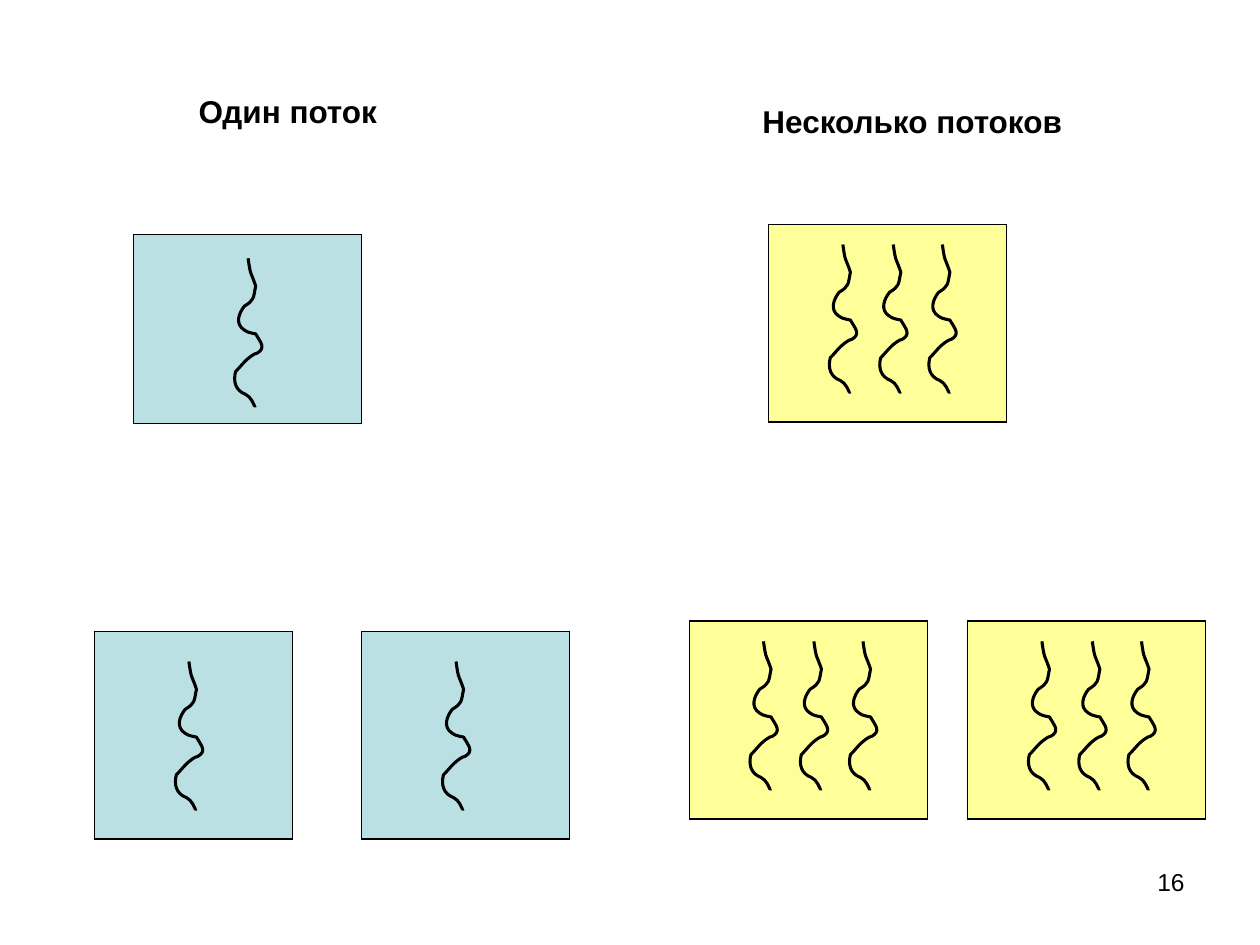
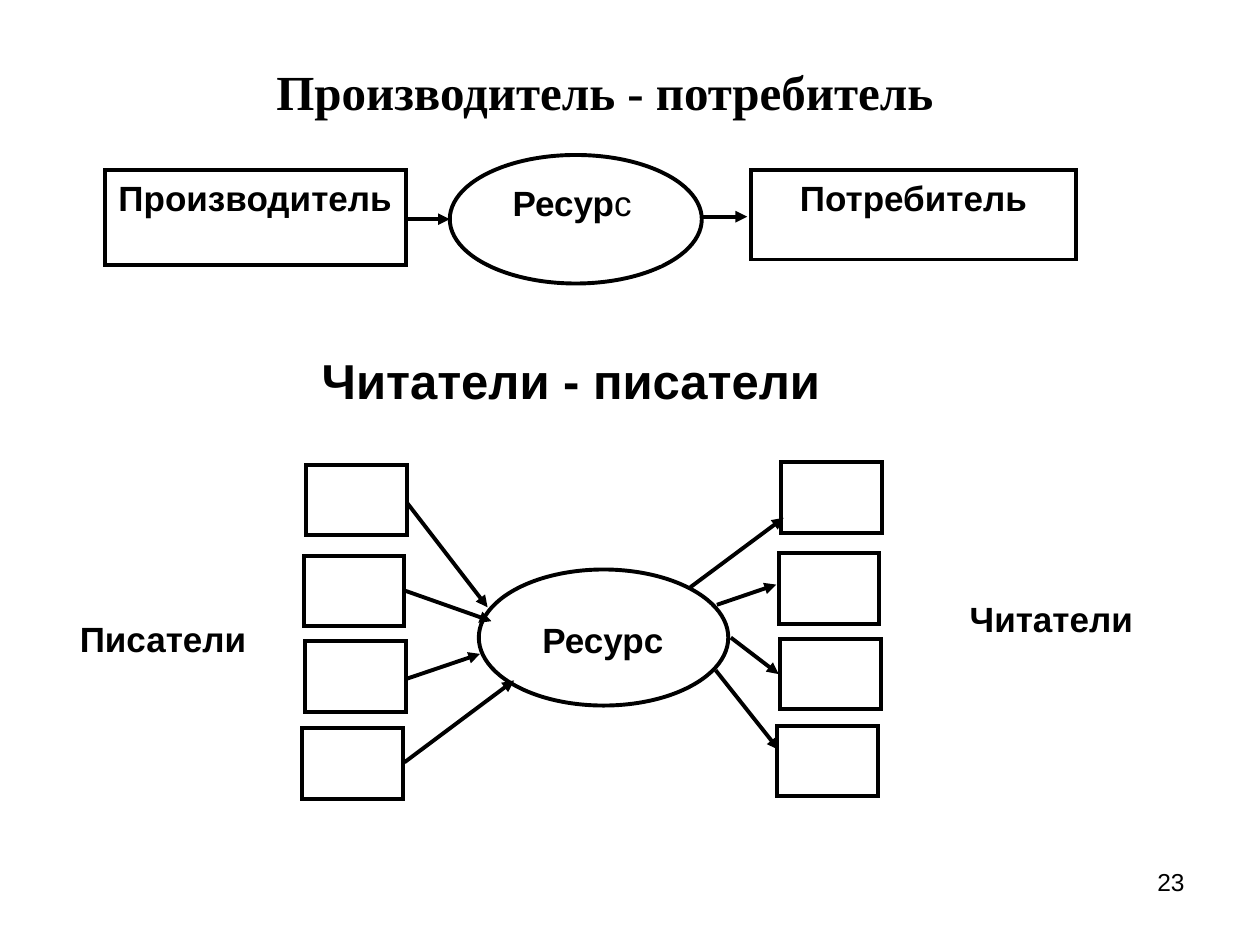
from dataclasses import dataclass

from lxml.etree import SubElement
from pptx import Presentation
from pptx.dml.color import RGBColor
from pptx.enum.shapes import MSO_CONNECTOR as Connector, MSO_SHAPE as Preset
from pptx.enum.text import MSO_ANCHOR as Anchor, PP_ALIGN as Align
from pptx.oxml.ns import qn
from pptx.util import Emu, Pt

PX = 9144
INSET_X, INSET_Y = 10, 5
BLACK, WHITE, BLUE, YELLOW = "000000", "FFFFFF", "BBE0E3", "FFFF99"
THIN, WAVY, THICK = 0.75, 1.75, 2.25

WAVE_SIZE = (26, 118)
WAVE_START = (12, 0)
WAVE_CURVES = (
    ((14, 15), (14, 10), (18, 22)),
    ((16, 32), (17, 33), (9, 38)),
    ((5, 43), (1, 52), (9, 57)),
    ((11, 59), (18, 60), (18, 60)),
    ((20, 64), (26, 70), (21, 74)),
    ((20, 76), (18, 75), (17, 76)),
    ((10, 80), (7, 85), (2, 90)),
    ((0, 98), (2, 105), (10, 108)),
    ((12, 109), (14, 111), (15, 113)),
    ((16, 114), (16, 116), (17, 117)),
    ((17, 118), (18, 117), (18, 117)),
)


@dataclass(frozen=True)
class Span:
    text: str
    size: int = 20
    bold: bool = True
    font: str = "Arial"


@dataclass(frozen=True)
class Box:
    left: int
    top: int
    width: int
    height: int
    spans: tuple[Span, ...] = ()
    fill: str | None = WHITE
    line: float = 0
    preset: Preset = Preset.RECTANGLE
    align: Align = Align.CENTER


@dataclass(frozen=True)
class Arrow:
    x1: int
    y1: int
    x2: int
    y2: int


@dataclass(frozen=True)
class Process:
    box: Box
    thread_lefts: tuple[int, ...]
    thread_top: int


def px(length: int) -> Emu:
    return Emu(length * PX)


def color(code: str) -> RGBColor:
    return RGBColor.from_string(code)


def set_line(line, width: float) -> None:
    if width:
        line.color.rgb = color(BLACK)
        line.width = Pt(width)
    else:
        line.fill.background()


def write(shape, box: Box) -> None:
    frame = shape.text_frame
    frame.word_wrap = True
    frame.vertical_anchor = Anchor.TOP
    frame.margin_left = frame.margin_right = px(INSET_X)
    frame.margin_top = frame.margin_bottom = px(INSET_Y)
    para = frame.paragraphs[0]
    para.alignment = box.align
    for span in box.spans:
        run = para.add_run()
        run.text = span.text
        run.font.name = span.font
        run.font.size = Pt(span.size)
        run.font.bold = span.bold
        run.font.color.rgb = color(BLACK)


def draw_box(page, box: Box) -> None:
    place = [px(n) for n in (box.left, box.top, box.width, box.height)]
    if box.fill is None:
        shape = page.shapes.add_textbox(*place)
    else:
        shape = page.shapes.add_shape(box.preset, *place)
        shape.shadow.inherit = False
        shape.fill.solid()
        shape.fill.fore_color.rgb = color(box.fill)
        set_line(shape.line, box.line)
        if box.line:
            SubElement(shape.element.spPr.find(qn("a:ln")), qn("a:miter"), lim="800000")
    if box.spans:
        write(shape, box)


def draw_arrow(page, arrow: Arrow) -> None:
    ends = [px(n) for n in (arrow.x1, arrow.y1, arrow.x2, arrow.y2)]
    connector = page.shapes.add_connector(Connector.STRAIGHT, *ends)
    set_line(connector.line, THICK)
    properties = connector.element.spPr
    SubElement(properties.find(qn("a:ln")), qn("a:tailEnd"), type="triangle")
    SubElement(properties, qn("a:effectLst"))


def add_step(outline, tag: str, *points: tuple[int, int]) -> None:
    step = SubElement(outline, qn(tag))
    for x, y in points:
        SubElement(step, qn("a:pt"), x=str(px(x)), y=str(px(y)))


def draw_thread(page, left: int, top: int) -> None:
    width, height = WAVE_SIZE
    builder = page.shapes.build_freeform(px(left), px(top))
    builder.add_line_segments([(px(left + width), px(top + height))], close=False)
    thread = builder.convert_to_shape()
    outline = next(thread.element.iter(qn("a:path")))
    for step in list(outline):
        outline.remove(step)
    add_step(outline, "a:moveTo", WAVE_START)
    for curve in WAVE_CURVES:
        add_step(outline, "a:cubicBezTo", *curve)
    thread.shadow.inherit = False
    thread.fill.background()
    set_line(thread.line, WAVY)


def draw_process(page, process: Process) -> None:
    box = process.box
    draw_box(page, box)
    for left in process.thread_lefts:
        draw_thread(page, box.left + left, box.top + process.thread_top)


def label(left: int, top: int, width: int, height: int, *spans: Span) -> Box:
    return Box(left, top, width, height, spans)


def heading(left: int, top: int, width: int, height: int, span: Span) -> Box:
    return Box(left, top, width, height, (span,), fill=None)


def framed(left: int, top: int, width: int, height: int, *spans: Span) -> Box:
    return Box(left, top, width, height, spans, line=THICK)


def oval(left: int, top: int, width: int, height: int) -> Box:
    return Box(left, top, width, height, line=THICK, preset=Preset.OVAL)


def single(left: int, top: int, width: int, height: int, thread_left: int, thread_top: int) -> Process:
    return Process(Box(left, top, width, height, fill=BLUE, line=THIN), (thread_left,), thread_top)


def multiple(left: int, top: int) -> Process:
    return Process(Box(left, top, 189, 157, fill=YELLOW, line=THIN), (47, 87, 126), 16)


PROCESSES = (
    single(106, 186, 181, 150, 79, 19),
    single(75, 501, 157, 165, 63, 24),
    single(287, 501, 165, 165, 63, 24),
    multiple(610, 178),
    multiple(547, 493),
    multiple(768, 493),
)
THREAD_HEADINGS = (
    heading(67, 68, 323, 40, Span("Один поток", 18)),
    heading(547, 76, 354, 40, Span("Несколько потоков", 18)),
)

WRITER_CORNERS = ((243, 369), (241, 441), (242, 509), (240, 578))
READER_SHIFT = (377, -2)
PEER_SIZE = (80, 56)

PRODUCER_CONSUMER = (
    oval(357, 123, 200, 102),
    framed(83, 135, 239, 75, Span("Производитель")),
    framed(596, 135, 258, 71, Span("Потребитель")),
    label(391, 139, 134, 71, Span("Ресур"), Span("с ", bold=False)),
    heading(51, 44, 858, 57, Span("Производитель - потребитель", 28, font="Times New Roman")),
)
READERS_WRITERS = (
    label(43, 485, 173, 51, Span("Писатели")),
    label(728, 469, 213, 47, Span("Читатели")),
    oval(380, 452, 198, 108),
    label(416, 486, 125, 53, Span("Ресурс")),
    label(224, 273, 458, 58, Span("Читатели - писатели", 28)),
)
ARROWS = (
    Arrow(321, 174, 357, 174),
    Arrow(557, 172, 593, 172),
    Arrow(323, 399, 387, 482),
    Arrow(322, 469, 390, 493),
    Arrow(322, 539, 381, 519),
    Arrow(321, 605, 408, 540),
    Arrow(548, 466, 622, 411),
    Arrow(569, 480, 616, 464),
    Arrow(580, 506, 618, 535),
    Arrow(568, 532, 618, 595),
)


def add_page(deck, number: int):
    page = deck.slides.add_slide(deck.slide_layouts[6])
    draw_box(page, Box(717, 683, 233, 52, (Span(str(number), 14, False),), None, align=Align.RIGHT))
    return page


def add_threads_page(deck) -> None:
    page = add_page(deck, 16)
    for process in PROCESSES:
        draw_process(page, process)
    for title in THREAD_HEADINGS:
        draw_box(page, title)


def add_resource_page(deck) -> None:
    page = add_page(deck, 23)
    for box in PRODUCER_CONSUMER + READERS_WRITERS:
        draw_box(page, box)
    for shift_x, shift_y in ((0, 0), READER_SHIFT):
        for left, top in WRITER_CORNERS:
            draw_box(page, framed(left + shift_x, top + shift_y, *PEER_SIZE))
    for arrow in ARROWS:
        draw_arrow(page, arrow)


def main() -> None:
    deck = Presentation()
    deck.slide_width, deck.slide_height = px(1000), px(750)
    add_threads_page(deck)
    add_resource_page(deck)
    deck.save("out.pptx")


if __name__ == "__main__":
    main()
